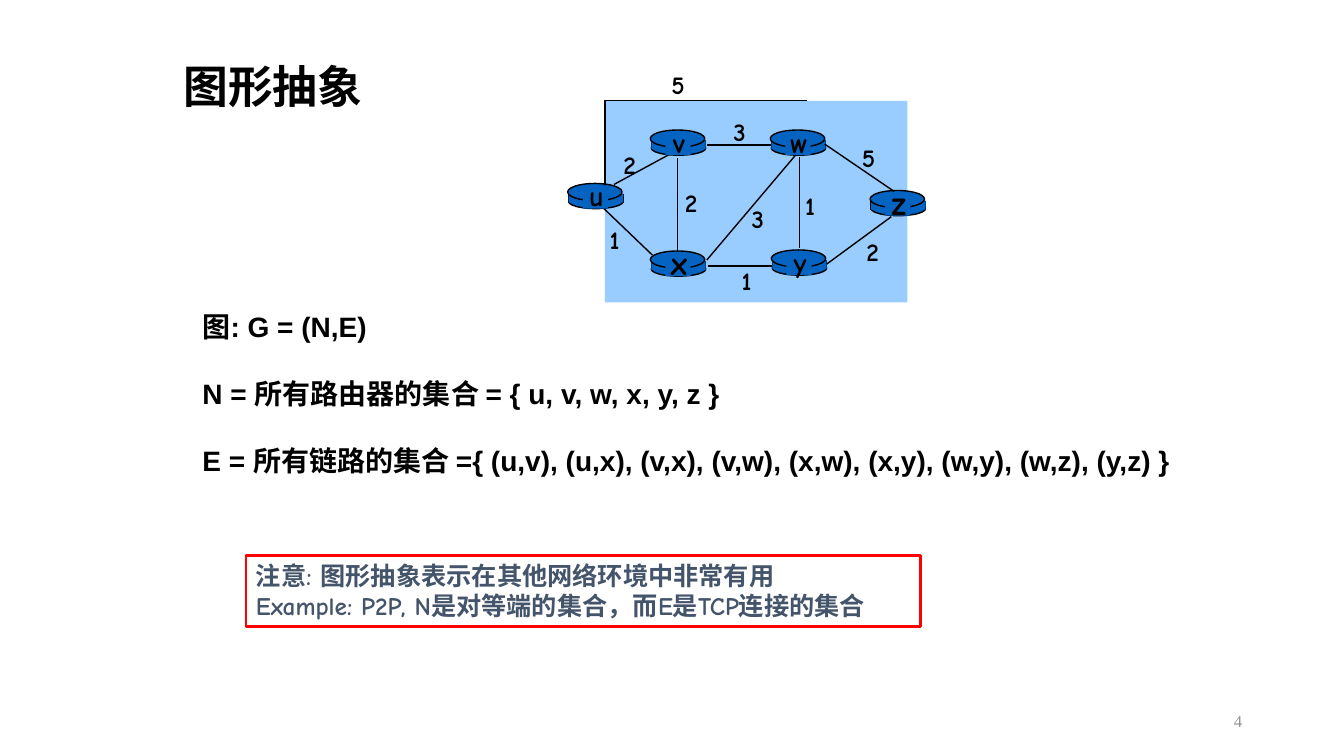
import pptx
import pptx.util
import pptx.dml.color
import pptx.enum.shapes
import pptx.enum.text
import pptx.oxml
import pptx.oxml.ns

Inches = pptx.util.Inches
Pt = pptx.util.Pt
RGBColor = pptx.dml.color.RGBColor
ALIGN = pptx.enum.text.PP_ALIGN
ANCHOR = pptx.enum.text.MSO_ANCHOR
SHAPE = pptx.enum.shapes.MSO_SHAPE

BLACK = RGBColor(0x00, 0x00, 0x00)
CLOUD_BLUE = RGBColor(0x99, 0xCC, 0xFF)
ROUTER_BLUE = RGBColor(0x05, 0x63, 0xC1)
NOTE_RED = RGBColor(0xFF, 0x00, 0x00)
NOTE_TEXT = RGBColor(0x44, 0x54, 0x6A)
PAGE_GREY = RGBColor(0x91, 0x92, 0x93)
CHINESE_FONT = "Noto Sans CJK SC"
COMIC_FONT = "Comic Neue"

CLOUD = [
    (5.51, 1.64), (5.55, 1.5), (5.64, 1.37), (5.76, 1.24), (5.89, 1.12),
    (5.98, 0.98), (6.07, 0.83), (6.2, 0.7), (6.42, 0.62), (6.59, 0.6),
    (6.81, 0.6), (7.05, 0.6), (7.3, 0.61), (7.56, 0.64), (7.8, 0.67),
    (8.02, 0.7), (8.2, 0.75), (8.46, 0.87), (8.65, 1.04), (8.79, 1.22),
    (8.92, 1.4), (9.08, 1.57), (9.23, 1.76), (9.32, 1.95), (9.34, 2.04),
    (9.32, 2.13), (9.19, 2.32), (8.95, 2.53), (8.67, 2.7), (8.39, 2.84),
    (8.11, 2.92), (7.81, 2.95), (7.51, 2.96), (7.23, 2.97), (6.98, 2.98),
    (6.74, 2.98), (6.52, 2.96), (6.31, 2.91), (6.13, 2.83), (5.95, 2.71),
    (5.8, 2.57), (5.68, 2.41), (5.6, 2.23), (5.56, 2.01), (5.53, 1.8),
]
ARC_U_W = [
    (7.82, 1.28), (7.8, 1.18), (7.74, 1.09), (7.64, 1.02), (7.52, 0.97),
    (7.38, 0.94), (7.22, 0.92), (7.05, 0.92), (6.87, 0.94), (6.69, 0.98),
    (6.52, 1.04), (6.36, 1.12), (6.21, 1.22), (6.09, 1.33), (5.99, 1.47),
    (5.92, 1.63), (5.9, 1.81),
]
# Router name: left, top, letter size
ROUTERS = {
    "u": (5.63, 1.82, 20), "x": (6.45, 2.49, 24), "v": (6.45, 1.29, 20),
    "w": (7.64, 1.29, 20), "y": (7.65, 2.48, 20), "z": (8.63, 1.89, 24),
}
LINK_U_V = (6.09, 1.83, 6.68, 1.51)
LINKS = [
    (7.93, 1.56, 7.93, 2.46), (6.72, 1.57, 6.72, 2.5),
    (7.01, 2.58, 7.89, 1.54), (8.2, 2.62, 8.84, 2.15),
    (7.66, 2.64, 7.02, 2.64), (6.47, 2.53, 5.99, 2.07),
    (7.65, 1.44, 7.01, 1.44), (8.87, 1.9, 8.18, 1.43),
]
# Link cost: text, left, top
COSTS = [
    ("2", 6.07, 1.43), ("2", 6.68, 1.81), ("1", 5.92, 2.18), ("3", 7.34, 1.97),
    ("1", 7.23, 2.58), ("1", 7.86, 1.84), ("2", 8.48, 2.3), ("5", 8.44, 1.36),
    ("3", 7.16, 1.1), ("5", 6.55, 0.64),
]


def paint(shape, fill=None, line=None, line_width=1):
    shape.shadow.inherit = False
    if fill is None:
        shape.fill.background()
    else:
        shape.fill.solid()
        shape.fill.fore_color.rgb = fill
    if line is None:
        shape.line.fill.background()
    else:
        shape.line.color.rgb = line
        shape.line.width = Pt(line_width)


def add_block(page, kind, left, top, width, height, **colours):
    block = page.shapes.add_shape(kind, Inches(left), Inches(top), Inches(width), Inches(height))
    paint(block, **colours)
    return block


def add_outline(page, points, closed, **colours):
    builder = page.shapes.build_freeform(*points[0], scale=Inches(1))
    builder.add_line_segments(points[1:], close=closed)
    paint(builder.convert_to_shape(), **colours)


def add_link(page, x1, y1, x2, y2):
    link = page.shapes.add_connector(
        pptx.enum.shapes.MSO_CONNECTOR.STRAIGHT,
        Inches(x1), Inches(y1), Inches(x2), Inches(y2))
    link.line.color.rgb = BLACK
    link.line.width = Pt(1)
    link._element.spPr.append(pptx.oxml.parse_xml(
        f"<a:effectLst {pptx.oxml.ns.nsdecls('a')}/>"))


def write(box, text, size, font, color=BLACK, bold=True, align=ALIGN.LEFT,
          anchor=ANCHOR.TOP, wrap=True, gap=0, line_spacing=None):
    frame = box.text_frame
    frame.word_wrap = wrap
    frame.vertical_anchor = anchor
    for index, line in enumerate(text.split("\n")):
        para = frame.add_paragraph() if index else frame.paragraphs[0]
        para.alignment = align
        if index:
            para.space_before = Pt(gap)
        if line_spacing:
            para.line_spacing = line_spacing
        span = para.add_run()
        span.text = line
        span.font.size = Pt(size)
        span.font.name = font
        span.font.bold = bold
        span.font.color.rgb = color
        east_asian = pptx.oxml.parse_xml(
            f'<a:ea {pptx.oxml.ns.nsdecls("a")} typeface="{CHINESE_FONT}"/>')
        span.font._element.append(east_asian)


def add_text(page, left, top, width, height, text, size, font, **style):
    box = page.shapes.add_textbox(Inches(left), Inches(top), Inches(width), Inches(height))
    write(box, text, size, font, **style)


def add_router(page, left, top):
    body = left + 0.01
    add_block(page, SHAPE.OVAL, body, top + 0.11, 0.54, 0.14, fill=ROUTER_BLUE, line=BLACK)
    for side in (body, body + 0.54):
        add_link(page, side, top + 0.1, side, top + 0.19)
    add_block(page, SHAPE.RECTANGLE, body, top + 0.1, 0.54, 0.09, fill=ROUTER_BLUE)
    add_block(page, SHAPE.OVAL, left, top, 0.54, 0.17, fill=ROUTER_BLUE, line=BLACK)


def add_router_name(page, name, left, top, size):
    add_block(page, SHAPE.RECTANGLE, left + 0.15, top + 0.02, 0.25, 0.23, fill=ROUTER_BLUE)
    height = 0.43 if size == 20 else 0.51
    add_text(page, left + 0.09, top + 0.12 - height / 2, 0.39, height, name, size,
             COMIC_FONT, align=ALIGN.CENTER, wrap=False)


def add_network(page):
    add_outline(page, CLOUD, True, fill=CLOUD_BLUE)
    add_link(page, *LINK_U_V)
    for left, top, _ in ROUTERS.values():
        add_router(page, left, top)
    for ends in LINKS:
        add_link(page, *ends)
    add_outline(page, ARC_U_W, False, line=BLACK)
    for name, (left, top, size) in ROUTERS.items():
        add_router_name(page, name, left, top, size)
    for cost, left, top in COSTS:
        add_text(page, left, top, 0.35, 0.4, cost, 18, COMIC_FONT,
                 align=ALIGN.CENTER, wrap=False)


def main():
    deck = pptx.Presentation()
    deck.slide_width = Inches(13.33)
    deck.slide_height = Inches(7.5)
    page = deck.slides.add_slide(deck.slide_layouts[6])

    # Title and page number
    add_text(page, 1.72, 0.4, 6.48, 0.97, "图形抽象", 32, CHINESE_FONT,
             anchor=ANCHOR.MIDDLE, line_spacing=0.9)
    add_text(page, 9.42, 6.95, 3, 0.4, "4", 12, "Times New Roman", color=PAGE_GREY,
             bold=False, align=ALIGN.RIGHT, anchor=ANCHOR.MIDDLE)

    # Network graph
    add_network(page)

    # Definitions
    add_text(page, 1.91, 3.02, 9.87, 1.78,
             "图: G = (N,E)\n"
             "N = 所有路由器的集合 = { u, v, w, x, y, z }\n"
             "E = 所有链路的集合 ={ (u,v), (u,x), (v,x), (v,w), (x,w), (x,y), (w,y), (w,z), (y,z) }",
             20, "Arial", gap=24)

    # Framed note
    note = add_block(page, SHAPE.RECTANGLE, 2.44, 5.51, 6.69, 0.71, line=NOTE_RED, line_width=2)
    write(note, "注意: 图形抽象表示在其他网络环境中非常有用\n"
                "Example: P2P, N是对等端的集合，而E是TCP连接的集合",
          18, COMIC_FONT, color=NOTE_TEXT)

    deck.save("out.pptx")


if __name__ == "__main__":
    main()
